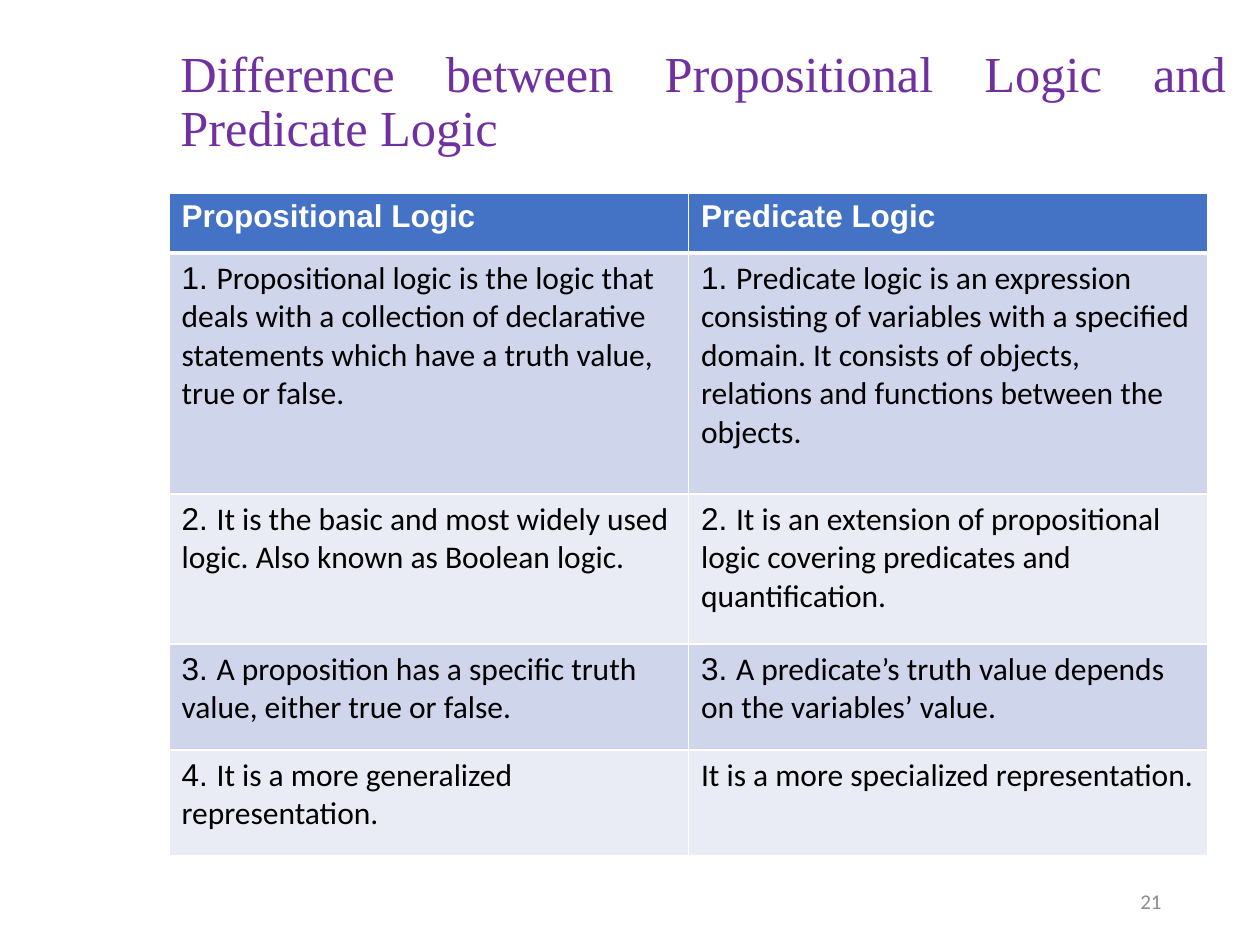
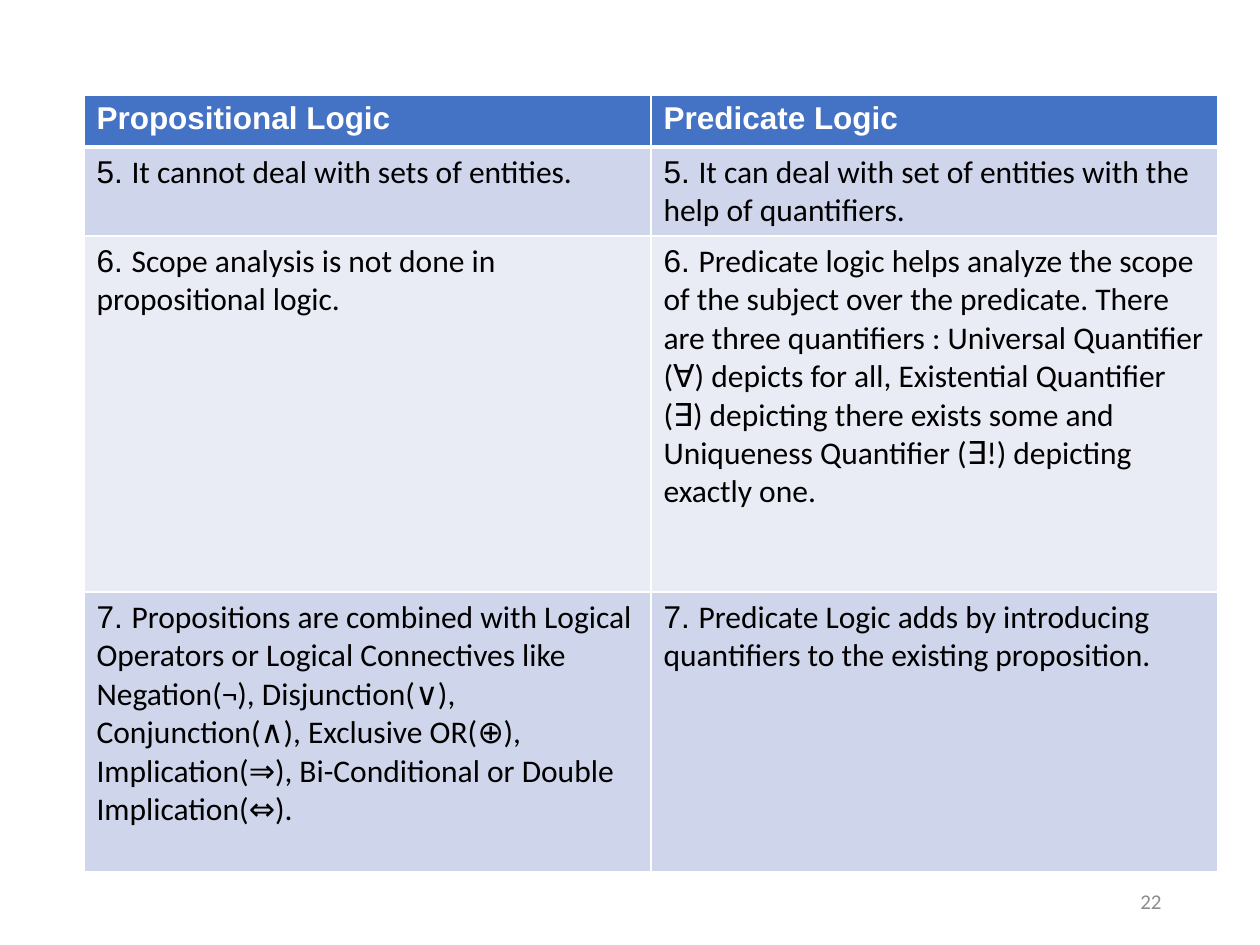
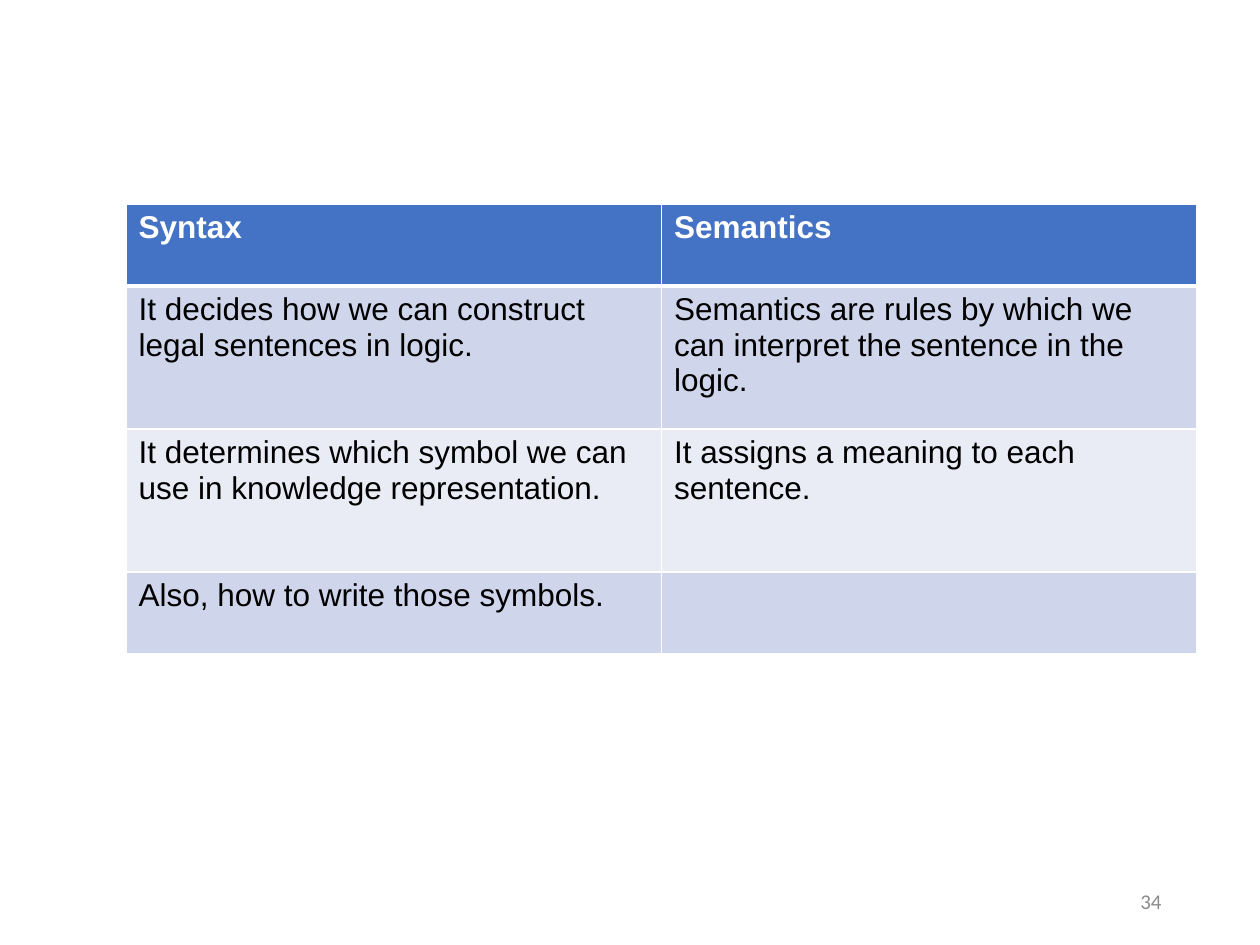
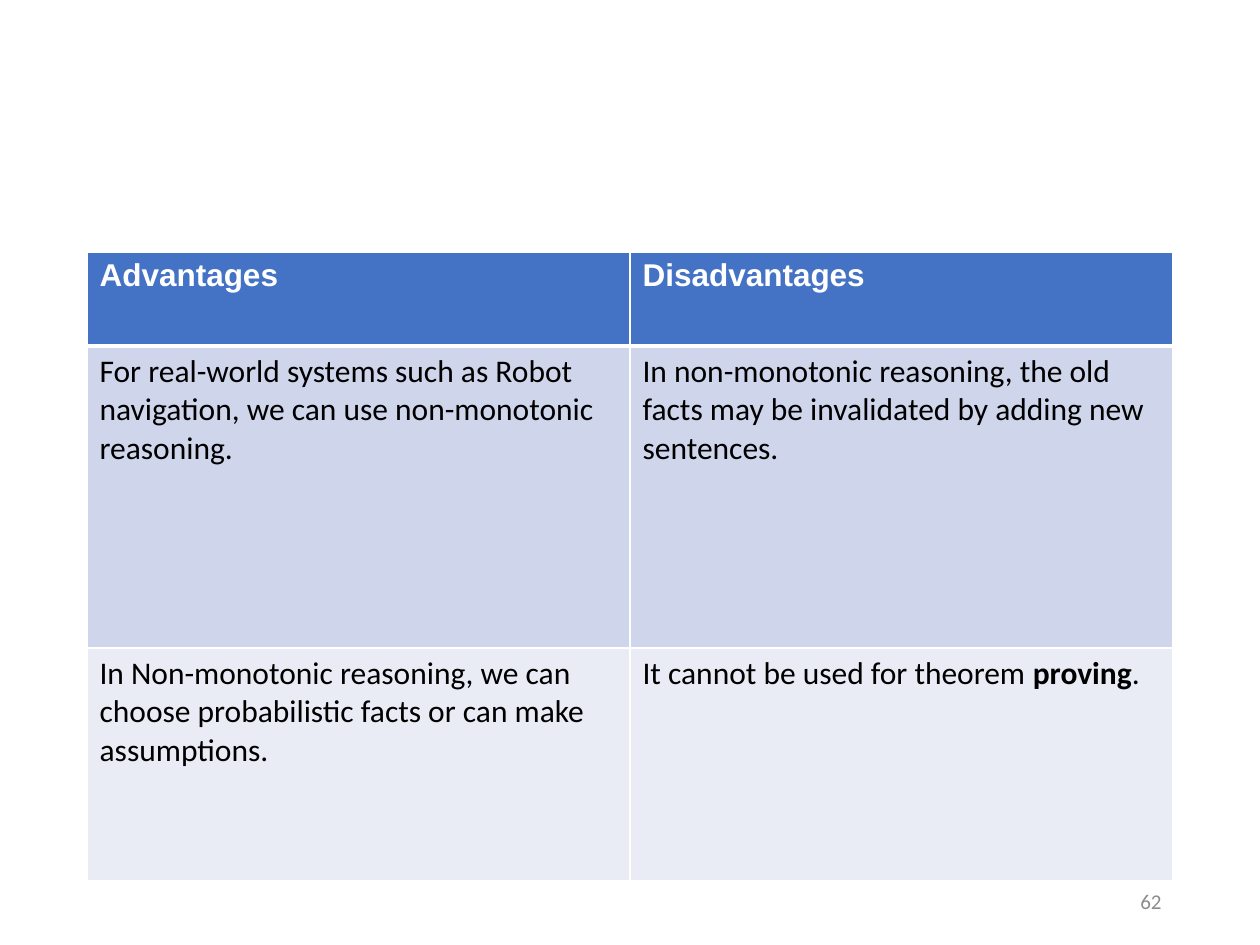
import pptx
import pptx.util
import pptx.dml.color
import pptx.enum.text
import pptx.oxml
import pptx.oxml.ns

# Content: ** marks bold words, a leading number is set in its own font
LOGIC_HEADS = ("Propositional Logic", "Predicate Logic")
SLIDES = [
    {
        "title": "Difference between Propositional Logic and Predicate Logic",
        "number": "21",
        "table_box": (169, 193, 1039),
        "row_heights": (60, 241, 150, 106, 106),
        "body_font": "Calibri",
        "rows": [
            LOGIC_HEADS,
            ("1. Propositional logic is the logic that deals with a collection of "
             "declarative statements which have a truth value, true or false.",
             "1. Predicate logic is an expression consisting of variables with a "
             "specified domain. It consists of objects, relations and functions "
             "between the objects."),
            ("2. It is the basic and most widely used logic. Also known as Boolean logic.",
             "2. It is an extension of propositional logic covering predicates and "
             "quantification."),
            ("3. A proposition has a specific truth value, either true or false.",
             "3. A predicate’s truth value depends on the variables’ value."),
            ("4. It is a more generalized representation.",
             "It is a more specialized representation."),
        ],
    },
    {
        "number": "22",
        "table_box": (84, 95, 1134),
        "row_heights": (52, 89, 356, 280),
        "body_font": "Calibri",
        "rows": [
            LOGIC_HEADS,
            ("5. It cannot deal with sets of entities.",
             "5. It can deal with set of entities with the help of quantifiers."),
            ("6. Scope analysis is not done in propositional logic.",
             "6. Predicate logic helps analyze the scope of the subject over the "
             "predicate. There are three quantifiers : Universal Quantifier (∀) depicts "
             "for all, Existential Quantifier (∃) depicting there exists some and "
             "Uniqueness Quantifier (∃!) depicting exactly one."),
            ("7. Propositions are combined with Logical Operators or Logical Connectives "
             "like Negation(¬), Disjunction(∨), Conjunction(∧), Exclusive OR(⊕), "
             "Implication(⇒), Bi-Conditional or Double Implication(⇔).",
             "7. Predicate Logic adds by introducing quantifiers to the existing "
             "proposition."),
        ],
    },
    {
        "number": "34",
        "table_box": (126, 204, 1071),
        "row_heights": (82, 143, 143, 82),
        "body_font": "Arial",
        "rows": [
            ("Syntax", "Semantics"),
            ("It decides how we can construct legal sentences in logic.",
             "Semantics are rules by which we can interpret the sentence in the logic."),
            ("It determines which symbol we can use in knowledge representation.",
             "It assigns a meaning to each sentence."),
            ("Also, how to write those symbols.", ""),
        ],
    },
    {
        "number": "62",
        "table_box": (87, 252, 1086),
        "row_heights": (94, 302, 233),
        "body_font": "Calibri",
        "rows": [
            ("Advantages", "Disadvantages"),
            ("For real-world systems such as Robot navigation, we can use "
             "non-monotonic reasoning.",
             "In non-monotonic reasoning, the old facts may be invalidated by adding "
             "new sentences."),
            ("In Non-monotonic reasoning, we can choose probabilistic facts or can "
             "make assumptions.",
             "It cannot be used for theorem **proving**."),
        ],
    },
]

# Shared style
PX_PER_INCH = 126
SLIDE_SIZE = (1260, 945)
TITLE_BOX = (168, 38, 1071, 130)
NUMBER_BOX = (890, 876, 284, 50)
WHITE, HEAD_FILL = "FFFFFF", "4472C4"
BAND_FILLS = ("CFD5EA", "E9EBF5")
TITLE_STYLE = {"name": "Times New Roman", "size": 28.8, "color": "7030A0"}
NUMBER_STYLE = {"name": "Calibri", "size": 12, "color": "8C8C8C"}
HEAD_STYLE = {"name": "Arial", "size": 18, "color": WHITE, "bold": True}
BODY_STYLE = {"size": 18, "color": "000000", "bold": False}
ALIGN = pptx.enum.text.PP_ALIGN


def px(length):
    return pptx.util.Emu(round(length * pptx.util.Inches(1) / PX_PER_INCH))


def rgb(hex_color):
    return pptx.dml.color.RGBColor.from_string(hex_color)


def add_run(paragraph, text, style):
    run = paragraph.add_run()
    run.text = text
    for key, value in style.items():
        if key == "color":
            run.font.color.rgb = rgb(value)
        else:
            setattr(run.font, key, pptx.util.Pt(value) if key == "size" else value)


def add_line(slide, box, text, style, paragraph_format):
    frame = slide.shapes.add_textbox(*map(px, box)).text_frame
    frame.word_wrap = True
    frame.vertical_anchor = pptx.enum.text.MSO_ANCHOR.MIDDLE
    paragraph = frame.paragraphs[0]
    for key, value in paragraph_format.items():
        setattr(paragraph, key, value)
    add_run(paragraph, text, style)


def write_body(paragraph, text, font_name):
    style = {**BODY_STYLE, "name": font_name}
    if text[:1].isdigit():
        number, dot, text = text.partition(". ")
        add_run(paragraph, number + dot, {**style, "name": "Arial"})
    for index, part in enumerate(text.split("**")):
        if part:
            add_run(paragraph, part, {**style, "bold": index % 2 == 1})


def set_borders(cell, widths):
    for side, points in widths.items():
        cell._tc.get_or_add_tcPr().append(pptx.oxml.parse_xml(
            f'<a:ln{side} {pptx.oxml.ns.nsdecls("a")} w="{pptx.util.Pt(points)}">'
            f'<a:solidFill><a:srgbClr val="{WHITE}"/></a:solidFill></a:ln{side}>'))


def add_comparison(slide, content):
    left, top, width = content["table_box"]
    heights, rows = content["row_heights"], content["rows"]
    columns = len(rows[0])
    table = slide.shapes.add_table(
        len(rows), columns, *map(px, (left, top, width, sum(heights)))).table
    for column in table.columns:
        column.width = px(width / columns)
    for r, (height, texts) in enumerate(zip(heights, rows)):
        table.rows[r].height = px(height)
        for c, text in enumerate(texts):
            cell = table.cell(r, c)
            # The rule under the heading row is thicker
            set_borders(cell, {"L": 1, "R": 1, "T": 3 if r == 1 else 1,
                               "B": 3 if r == 0 else 1})
            cell.fill.solid()
            cell.fill.fore_color.rgb = rgb(BAND_FILLS[(r - 1) % 2] if r else HEAD_FILL)
            paragraph = cell.text_frame.paragraphs[0]
            if r == 0:
                add_run(paragraph, text, HEAD_STYLE)
            else:
                write_body(paragraph, text, content["body_font"])


def main():
    deck = pptx.Presentation()
    deck.slide_width, deck.slide_height = map(px, SLIDE_SIZE)
    for content in SLIDES:
        slide = deck.slides.add_slide(deck.slide_layouts[6])
        if "title" in content:
            add_line(slide, TITLE_BOX, content["title"], TITLE_STYLE,
                     {"alignment": ALIGN.JUSTIFY, "line_spacing": 0.9})
        add_comparison(slide, content)
        add_line(slide, NUMBER_BOX, content["number"], NUMBER_STYLE,
                 {"alignment": ALIGN.RIGHT})
    deck.save("out.pptx")


if __name__ == "__main__":
    main()
